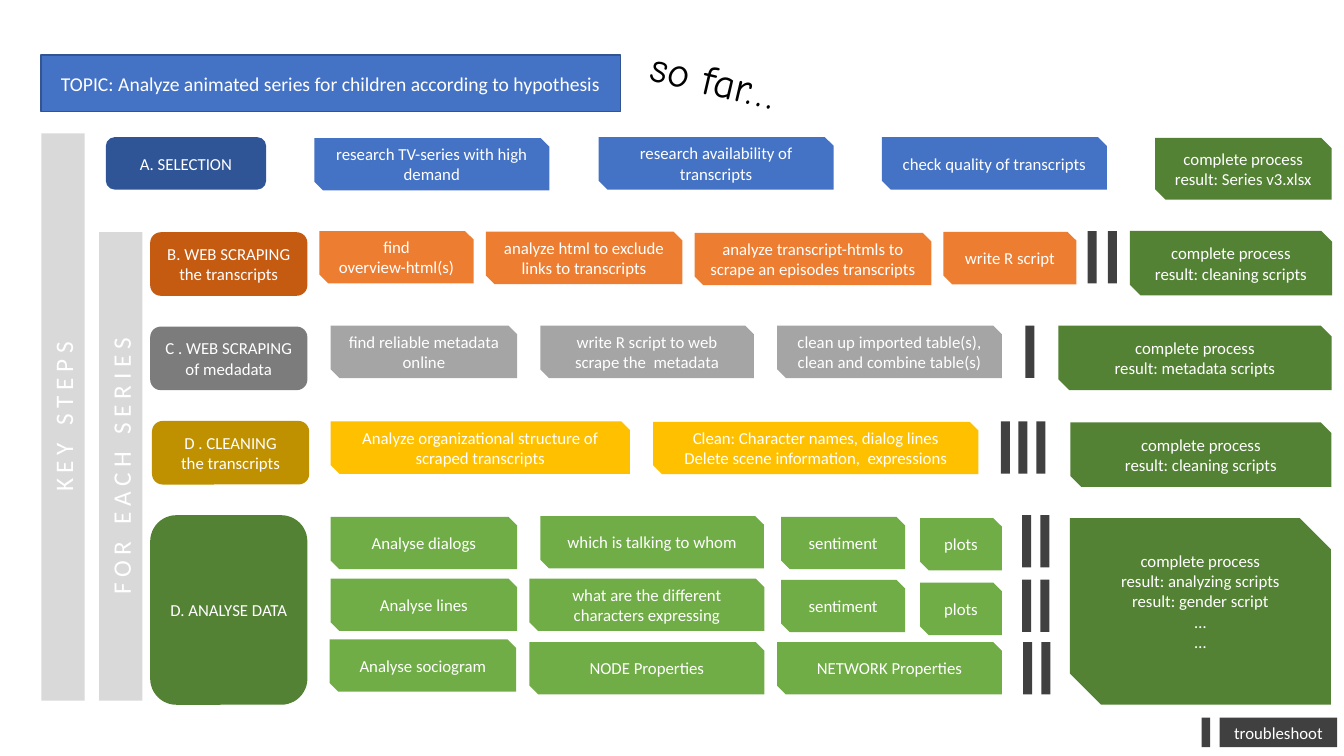
from dataclasses import dataclass, field
from typing import Any, NamedTuple

from pptx import Presentation
from pptx.dml.color import RGBColor
from pptx.enum.shapes import MSO_SHAPE as Preset
from pptx.enum.text import MSO_ANCHOR as Anchor, MSO_AUTO_SIZE as AutoSize, PP_ALIGN as Align
from pptx.util import Pt


@dataclass(frozen=True)
class Theme:
    font: str = "Calibri"
    note_font: str = "Comic Neue"
    body: float = 12
    title: float = 14
    rail: float = 18
    note: float = 30
    white: str = "FFFFFF"
    black: str = "000000"
    topic: str = "4472C4"
    topic_line: str = "325491"
    rail_fill: str = "D9D9D9"
    trouble: str = "404040"
    result: str = "548235"
    selection: tuple[str, str] = ("2F5597", "4472C4")
    scraping: tuple[str, str] = ("C55A11", "ED7D31")
    metadata: tuple[str, str] = ("7C7C7C", "A5A5A5")
    cleaning: tuple[str, str] = ("BF9000", "FFC000")
    analysis: tuple[str, str] = ("548235", "70AD47")


THEME = Theme()
STEP_HEIGHT = 37.4
BAR_WIDTH = 6.5


class Box(NamedTuple):
    left: float
    top: float
    width: float
    height: float


class Step(NamedTuple):
    left: float
    width: float
    text: str
    shift: float = 0  # offset from the top of its line


@dataclass(frozen=True)
class StepLine:
    top: float
    steps: list[Step]
    bar_top: float = 0
    bars: list[float] = field(default_factory=list)


@dataclass(frozen=True)
class Phase:
    name: str
    colors: tuple[str, str]  # header, steps
    header: Box
    lines: list[StepLine]
    result: Box
    outcome: str
    bottom_inset: float = 3.6


class Rail(NamedTuple):
    box: Box
    text: str


PHASES = [
    Phase("A. SELECTION", THEME.selection, Box(75.6, 98, 114.5, STEP_HEIGHT), [
        StepLine(98, [
            Step(224.6, 167.8, "research TV-series with high demand", 0.6),
            Step(427.7, 167.8, "research availability of transcripts"),
            Step(630, 160.6, "check quality of transcripts")]),
    ], Box(825.1, 98.6, 126, 44), "complete process\nresult: Series v3.xlsx"),
    Phase("B. WEB SCRAPING the transcripts", THEME.scraping, Box(107.3, 165.9, 112.3, 45.4), [
        StepLine(165, [
            Step(228.2, 110.2, "find\noverview-html(s)"),
            Step(347, 140.4, "analyze html to exclude links to transcripts", 0.5),
            Step(496.1, 169.2, "analyze transcript-htmls to scrape an episodes transcripts", 1.3),
            Step(673.9, 95, "write R script", 0.7)],
            165, [776.9, 791.3]),
    ], Box(807.1, 165, 144.4, 46.1), "complete process\nresult: cleaning scripts"),
    Phase("C . WEB SCRAPING of medadata", THEME.metadata, Box(107.3, 233.3, 112.3, 45.4), [
        StepLine(232.6, [
            Step(236.2, 133.2, "find reliable metadata online"),
            Step(385.9, 152.6, "write R script to web scrape the  metadata"),
            Step(555.1, 160.6, "clean up imported table(s), clean and combine table(s)")],
            232.6, [732.4]),
    ], Box(756, 232.6, 195.1, 46.1), "complete process\nresult: metadata scripts"),
    Phase("D . CLEANING\nthe transcripts", THEME.cleaning, Box(108.6, 300.7, 112.3, 45.4), [
        StepLine(301, [
            Step(236.2, 213.8, "Analyze organizational structure of scraped transcripts"),
            Step(466.6, 232.3, "Clean: Character names, dialog lines\n"
                 "Delete scene information,  expressions", 0.3)],
            301, [714.9, 727.4, 740.2]),
    ], Box(764.6, 301.7, 186.5, 46.1), "complete process\nresult: cleaning scripts"),
    Phase("D. ANALYSE DATA", THEME.analysis, Box(107.3, 368, 112.3, 135.4), [
        StepLine(369.2, [
            Step(236.2, 133.2, "Analyse dialogs"),
            Step(385.9, 159.8, "which is talking to whom", -0.6),
            Step(558, 88.6, "sentiment"),
            Step(657.2, 58.5, "plots", 0.8)],
            368, [730.1, 743.2]),
        StepLine(413.3, [
            Step(236.2, 133.2, "Analyse lines"),
            Step(378.2, 167.8, "what are the different characters expressing"),
            Step(558, 88.6, "sentiment", 0.9),
            Step(657.2, 58.5, "plots", 2.9)],
            414, [730.1, 743.2]),
        StepLine(458.6, [
            Step(235.5, 133.2, "Analyse sociogram", -1.9),
            Step(378.2, 167.8, "NODE Properties"),
            Step(555.1, 160.6, "NETWORK Properties")],
            458.6, [730.8, 743.9]),
    ], Box(764.2, 370.1, 186.5, 133.2),
        "complete process\nresult: analyzing scripts\nresult: gender script\n…\n…", 18),
]

RAILS = [
    Rail(Box(29.5, 95.3, 31, 405.2), "KEY STEPS"),
    Rail(Box(70.8, 165.9, 31, 334.6), "FOR EACH SERIES"),
]


def apply(target: Any, values: dict[str, Any]) -> None:
    for name, value in values.items():
        setattr(target, name, value)


def place(shape: Any, box: Box) -> None:
    apply(shape, {name: Pt(value) for name, value in box._asdict().items()})


def write(shape: Any, text: str, size: float = THEME.body, color: str = THEME.white,
          font: str = THEME.font, **frame_format: Any) -> None:
    frame = shape.text_frame
    frame.text = text
    apply(frame, {"word_wrap": True, "auto_size": AutoSize.NONE,
                  "vertical_anchor": Anchor.MIDDLE} | frame_format)
    for paragraph in frame.paragraphs:
        paragraph.alignment = Align.CENTER
        for run in paragraph.runs:
            apply(run.font, {"name": font, "size": Pt(size)})
            run.font.color.rgb = RGBColor.from_string(color)


def fill(shape: Any, color: str) -> None:
    shape.fill.solid()
    shape.fill.fore_color.rgb = RGBColor.from_string(color)


def add_block(slide: Any, preset: Preset, box: Box, color: str) -> Any:
    shape = slide.shapes.add_shape(preset, *map(Pt, box))
    shape.shadow.inherit = False
    fill(shape, color)
    shape.line.fill.background()
    return shape


def add_rail(slide: Any, rail: Rail) -> None:
    shape = add_block(slide, Preset.RECTANGLE, rail.box, THEME.rail_fill)
    write(shape, rail.text, THEME.rail)
    # Upward text with wide letter spacing
    shape.text_frame._txBody.bodyPr.set("vert", "vert270")
    shape.text_frame.paragraphs[0].runs[0].font._element.set("spc", "407")


def add_phase(slide: Any, phase: Phase) -> None:
    header_color, step_color = phase.colors
    write(add_block(slide, Preset.ROUNDED_RECTANGLE, phase.header, header_color), phase.name)
    for line in phase.lines:
        for step in line.steps:
            box = Box(step.left, line.top + step.shift, step.width, STEP_HEIGHT)
            write(add_block(slide, Preset.SNIP_2_DIAG_RECTANGLE, box, step_color), step.text)
        for left in line.bars:
            box = Box(left, line.bar_top, BAR_WIDTH, STEP_HEIGHT)
            add_block(slide, Preset.RECTANGLE, box, THEME.trouble)
    result = add_block(slide, Preset.SNIP_2_DIAG_RECTANGLE, phase.result, THEME.result)
    write(result, phase.outcome, margin_bottom=Pt(phase.bottom_inset))


def main() -> None:
    presentation = Presentation()
    apply(presentation, {"slide_width": Pt(960), "slide_height": Pt(540)})
    slide = presentation.slides.add_slide(presentation.slide_layouts[5])

    # Topic and side remark
    title = slide.shapes.title
    place(title, Box(29.2, 39.4, 414, 40.3))
    fill(title, THEME.topic)
    title.line.color.rgb = RGBColor.from_string(THEME.topic_line)
    title.line.width = Pt(1)
    write(title, "TOPIC: Analyze animated series for children according to hypothesis", THEME.title)
    remark = slide.shapes.add_textbox(*map(Pt, Box(457.2, 36.7, 121.7, 43.9)))
    remark.rotation = 13
    write(remark, "so far…", THEME.note, THEME.black, THEME.note_font, vertical_anchor=Anchor.TOP)
    remark.text_frame.paragraphs[0].alignment = Align.LEFT

    # Rails and process phases
    for rail in RAILS:
        add_rail(slide, rail)
    for phase in PHASES:
        add_phase(slide, phase)

    # Legend
    add_block(slide, Preset.RECTANGLE, Box(858.4, 512.6, 6, 21.1), THEME.trouble)
    legend = add_block(slide, Preset.RECTANGLE, Box(871.2, 512.6, 84, 21.1), THEME.trouble)
    write(legend, "troubleshoot")

    presentation.save("out.pptx")


if __name__ == "__main__":
    main()
